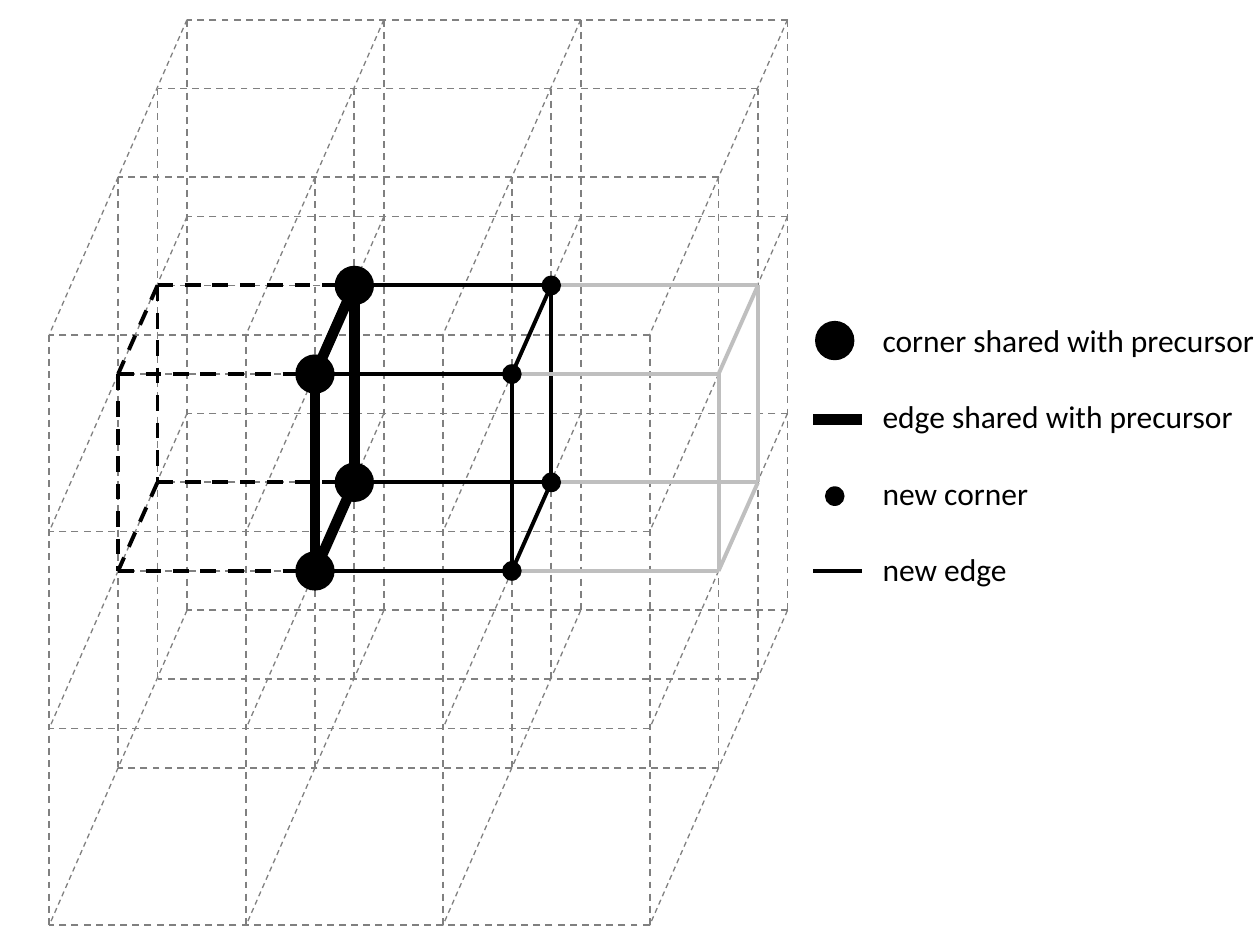
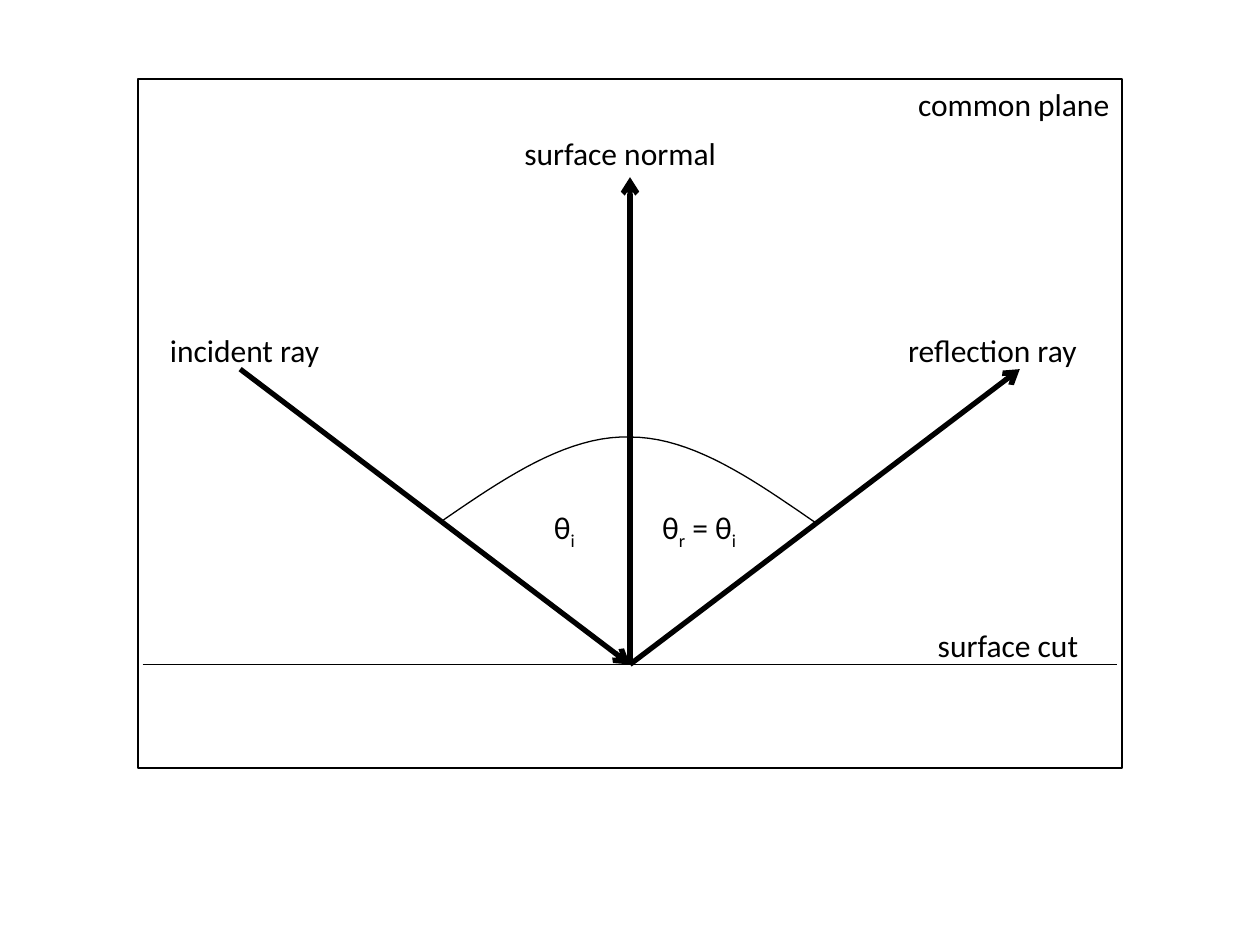
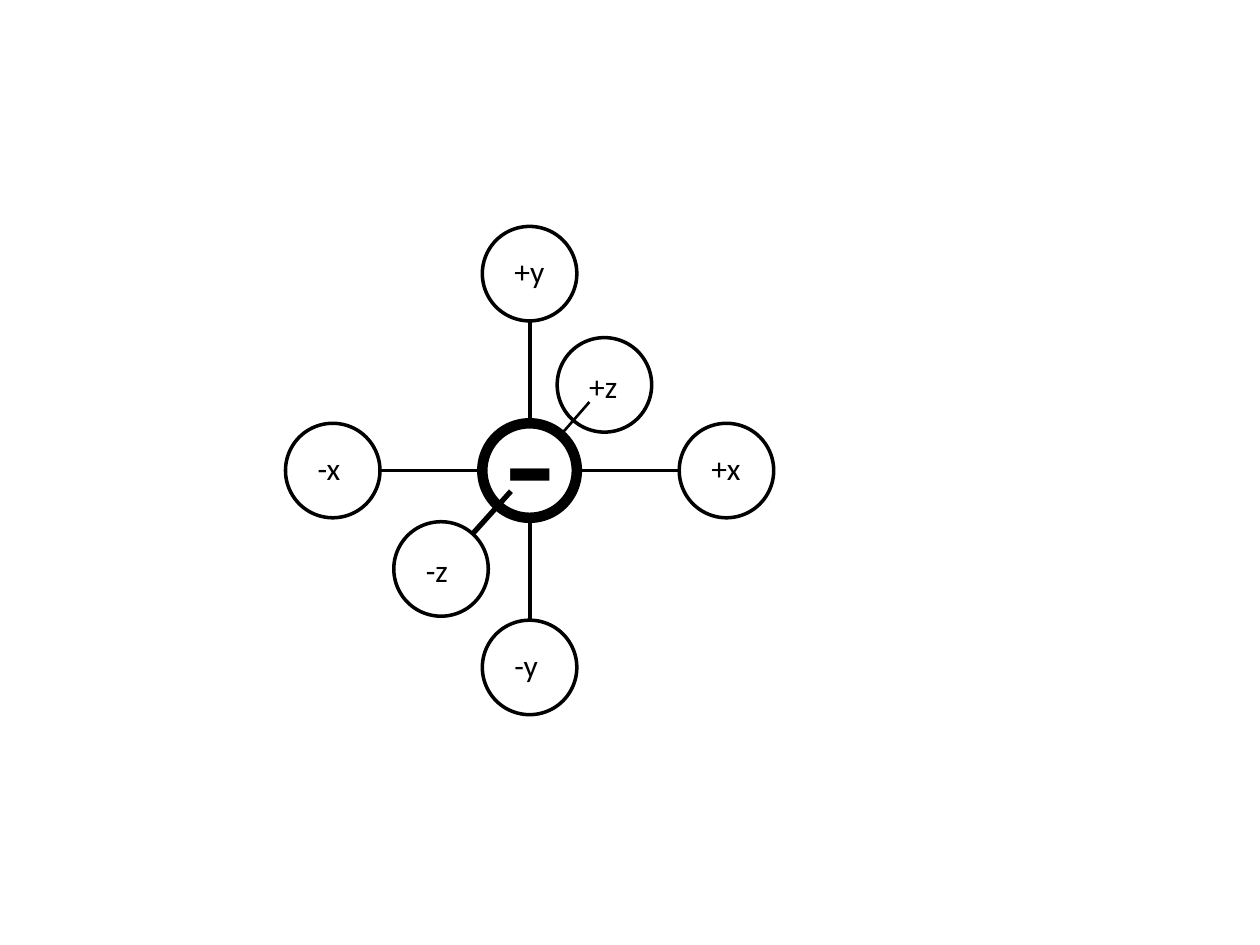
from dataclasses import dataclass
from itertools import product
from typing import NamedTuple

from pptx import Presentation
from pptx.dml.color import RGBColor
from pptx.enum.dml import MSO_LINE
from pptx.enum.shapes import MSO_CONNECTOR, MSO_SHAPE
from pptx.enum.text import MSO_AUTO_SIZE
from pptx.oxml.ns import qn
from pptx.shapes.base import BaseShape
from pptx.slide import Slide
from pptx.util import Inches, Pt
from lxml.etree import SubElement

SLIDE_WIDTH = Inches(10)
SLIDE_HEIGHT = Inches(7.5)
CELL = SLIDE_WIDTH / 64


@dataclass(frozen=True)
class Theme:
    ink: str = "000000"
    lattice: str = "808080"
    successor: str = "BFBFBF"
    font: str = "Calibri"
    body: float = 18
    sign: float = 96
    legend_gap: float = 22
    subscript: str = "-25000"


class Stroke(NamedTuple):
    color: str
    width: float
    dashed: bool = False


class Point(NamedTuple):
    x: float
    y: float


class Label(NamedTuple):
    text: str
    left: float
    top: float
    width: float


class AxisEnd(NamedTuple):
    label: str
    dx: float
    dy: float
    label_width: float
    stroke: Stroke
    label_drop: float = 1
    inner: float = 0.24
    outer: float = 0.76


THEME = Theme()
GRID = Stroke(THEME.lattice, 1, True)
DEPTH = Stroke(THEME.lattice, 0.75, True)
PRECURSOR = Stroke(THEME.ink, 2.25, True)
SHARED = Stroke(THEME.ink, 6)
NEW = Stroke(THEME.ink, 2.25)
SUCCESSOR = Stroke(THEME.successor, 2.25)
RAY = Stroke(THEME.ink, 3)
FRAME = Stroke(THEME.ink, 1)
ARC = Stroke(THEME.ink, 0.75)
NODE = Stroke(THEME.ink, 2)
FAR_SPOKE = Stroke(THEME.ink, 1.5)

COLUMNS = (9.5, 19.5, 29.5, 40)
ROWS = (1, 11, 21, 31)
LAYERS = (Point(0, 0), Point(-1.5, 3.5), Point(-3.5, 8), Point(-7, 16))
FACE_STROKES = (PRECURSOR, SHARED, NEW, SUCCESSOR)
SPAN_STROKES = (PRECURSOR, NEW, SUCCESSOR)
CUBE_SIDES = (1, 2)
LARGE_DOT = 2
SMALL_DOT = 1

LEGEND = ("corner shared with precursor", "edge shared with precursor", "new corner", "new edge")
LEGEND_KEY = (41.3, 43.8)

INCIDENCE = Point(32, 33.75)
ARC_CURVES = (
    (Point(22.4, 26.5), Point(25.6, 24.3), Point(28.8, 22.1), Point(32, 22.2)),
    (Point(32, 22.2), Point(35.2, 22.2), Point(38.3, 24.4), Point(41.5, 26.6)),
)
RAY_LABELS = (
    Label("θ_r = θ_i", 33, 25.5, 5.6),
    Label("θ_i", 27.5, 25.5, 2.4),
    Label("incident ray", 8, 16.5, 9),
    Label("reflection ray", 45.5, 16.5, 10),
    Label("surface normal", 26, 6.5, 11.1),
    Label("surface cut", 47, 31.5, 8.5),
    Label("common plane", 46, 4, 11.1),
)

CENTER = Point(26.9, 23.9)
NODE_SIZE = 4.8
AXIS_ENDS = (
    AxisEnd("+x", 10, 0, 2.8, NEW),
    AxisEnd("-x", -10, 0, 2.5, NEW),
    AxisEnd("+y", 0, -10, 2.8, NEW),
    AxisEnd("-y", 0, 10, 2.5, NEW),
    AxisEnd("+z", 3.8, -4.35, 2.8, FAR_SPOKE, 1.2, 0.42, 0.8),
    AxisEnd("-z", -4.5, 5, 2.4, RAY, 1.2, 0.21, 0.65),
)


def cells(count: float) -> int:
    return round(count * CELL)


def apply_stroke(shape: BaseShape, stroke: Stroke) -> None:
    shape.line.color.rgb = RGBColor.from_string(stroke.color)
    shape.line.width = Pt(stroke.width)
    if stroke.dashed:
        shape.line.dash_style = MSO_LINE.DASH


def add_line(slide: Slide, start: Point, end: Point, stroke: Stroke, arrow: bool = False) -> None:
    line = slide.shapes.add_connector(
        MSO_CONNECTOR.STRAIGHT, *(cells(value) for value in (*start, *end))
    )
    apply_stroke(line, stroke)
    properties = line._element.spPr
    if arrow:
        SubElement(properties.find(qn("a:ln")), qn("a:tailEnd"), type="arrow")
    SubElement(properties, qn("a:effectLst"))


def add_outline(slide: Slide, preset: MSO_SHAPE, left: float, top: float,
                width: float, height: float, stroke: Stroke) -> None:
    outline = slide.shapes.add_shape(preset, cells(left), cells(top), cells(width), cells(height))
    outline.shadow.inherit = False
    outline.fill.background()
    apply_stroke(outline, stroke)


def add_dot(slide: Slide, center: Point, size: float) -> None:
    dot = slide.shapes.add_shape(
        MSO_SHAPE.OVAL, cells(center.x - size / 2), cells(center.y - size / 2),
        cells(size), cells(size)
    )
    dot.shadow.inherit = False
    dot.fill.solid()
    dot.fill.fore_color.rgb = RGBColor.from_string(THEME.ink)
    dot.line.fill.background()


def add_text(slide: Slide, *lines: str, left: float, top: float, width: float,
             height: float = 2.56, size: float = THEME.body, gap: float = 0) -> None:
    box = slide.shapes.add_textbox(cells(left), cells(top), cells(width), cells(height))
    frame = box.text_frame
    frame.word_wrap = False
    frame.auto_size = MSO_AUTO_SIZE.SHAPE_TO_FIT_TEXT
    for index, line in enumerate(lines):
        paragraph = frame.paragraphs[0] if index == 0 else frame.add_paragraph()
        if index:
            paragraph.space_before = Pt(gap)
        normal, *marked = line.split("_")
        pieces = [(normal, False)]
        for part in marked:
            pieces += [(part[0], True), (part[1:], False)]
        for text, lowered in pieces:
            if not text:
                continue
            run = paragraph.add_run()
            run.text = text
            run.font.name = THEME.font
            run.font.size = Pt(size)
            run.font.color.rgb = RGBColor.from_string(THEME.ink)
            if lowered:
                run._r.get_or_add_rPr().set("baseline", THEME.subscript)


def corner(column: int, row: int, layer: int) -> Point:
    shift = LAYERS[layer]
    return Point(COLUMNS[column] + shift.x, ROWS[row] + shift.y)


def draw_lattice(slide: Slide) -> None:
    last = len(COLUMNS) - 1
    for layer, index in product(range(len(LAYERS)), range(len(COLUMNS))):
        add_line(slide, corner(index, 0, layer), corner(index, last, layer), GRID)
        add_line(slide, corner(last, index, layer), corner(0, index, layer), GRID)
    for column, row in product(range(len(COLUMNS)), range(len(ROWS))):
        add_line(slide, corner(column, row, 0), corner(column, row, last), DEPTH)


def draw_cubes(slide: Slide) -> None:
    near, far = CUBE_SIDES
    for column, stroke in enumerate(FACE_STROKES):
        for side in CUBE_SIDES:
            add_line(slide, corner(column, side, near), corner(column, side, far), stroke)
            add_line(slide, corner(column, near, side), corner(column, far, side), stroke)
    for column, stroke in enumerate(SPAN_STROKES):
        for row, layer in product(CUBE_SIDES, CUBE_SIDES):
            add_line(slide, corner(column, row, layer), corner(column + 1, row, layer), stroke)
    for column, size in ((1, LARGE_DOT), (2, SMALL_DOT)):
        for row, layer in product(CUBE_SIDES, CUBE_SIDES):
            add_dot(slide, corner(column, row, layer), size)


def draw_legend(slide: Slide) -> None:
    key_start, key_end = LEGEND_KEY
    add_dot(slide, Point(42.4, 17.3), LARGE_DOT)
    add_dot(slide, Point(42.4, 25.2), SMALL_DOT)
    for row, stroke in ((21.3, SHARED), (29, NEW)):
        add_line(slide, Point(key_start, row), Point(key_end, row), stroke)
    add_text(slide, *LEGEND, left=44.2, top=16, width=20.4, height=14.2, gap=THEME.legend_gap)


def draw_arc(slide: Slide, steps: int = 20) -> None:
    points = []
    for start, pull, push, end in ARC_CURVES:
        for step in range(steps + 1):
            t = step / steps
            weights = ((1 - t) ** 3, 3 * t * (1 - t) ** 2, 3 * t * t * (1 - t), t ** 3)
            x, y = (sum(w * value for w, value in zip(weights, axis))
                    for axis in zip(start, pull, push, end))
            points.append((cells(x), cells(y)))
    builder = slide.shapes.build_freeform(*points[0])
    builder.add_line_segments(points[1:], close=False)
    arc = builder.convert_to_shape()
    arc.shadow.inherit = False
    arc.fill.background()
    apply_stroke(arc, ARC)


def build_cube_slide(slide: Slide) -> None:
    draw_lattice(slide)
    draw_cubes(slide)
    draw_legend(slide)


def build_reflection_slide(slide: Slide) -> None:
    add_line(slide, Point(7.25, INCIDENCE.y), Point(56.75, INCIDENCE.y), FRAME)
    add_line(slide, INCIDENCE, Point(INCIDENCE.x, 9), RAY, arrow=True)
    add_line(slide, Point(12.2, 18.75), INCIDENCE, RAY, arrow=True)
    add_line(slide, INCIDENCE, Point(51.8, 18.75), RAY, arrow=True)
    add_outline(slide, MSO_SHAPE.RECTANGLE, 7, 4, 50, 35, FRAME)
    draw_arc(slide)
    for label in RAY_LABELS:
        add_text(slide, label.text, left=label.left, top=label.top, width=label.width)


def build_axes_slide(slide: Slide) -> None:
    origin = Point(CENTER.x - NODE_SIZE / 2, CENTER.y - NODE_SIZE / 2)
    add_outline(slide, MSO_SHAPE.OVAL, *origin, NODE_SIZE, NODE_SIZE, SHARED)
    for end in AXIS_ENDS:
        left, top = origin.x + end.dx, origin.y + end.dy
        add_outline(slide, MSO_SHAPE.OVAL, left, top, NODE_SIZE, NODE_SIZE, NODE)
        inner, outer = (Point(CENTER.x + end.dx * share, CENTER.y + end.dy * share)
                        for share in (end.inner, end.outer))
        add_line(slide, inner, outer, end.stroke)
        add_text(slide, end.label, left=left + 1, top=top + end.label_drop, width=end.label_width)
    add_text(slide, "-", left=25, top=17.7, width=3.9, height=11, size=THEME.sign)


def main() -> None:
    presentation = Presentation()
    presentation.slide_width = SLIDE_WIDTH
    presentation.slide_height = SLIDE_HEIGHT
    for build in (build_cube_slide, build_reflection_slide, build_axes_slide):
        build(presentation.slides.add_slide(presentation.slide_layouts[6]))
    presentation.save("out.pptx")


if __name__ == "__main__":
    main()
